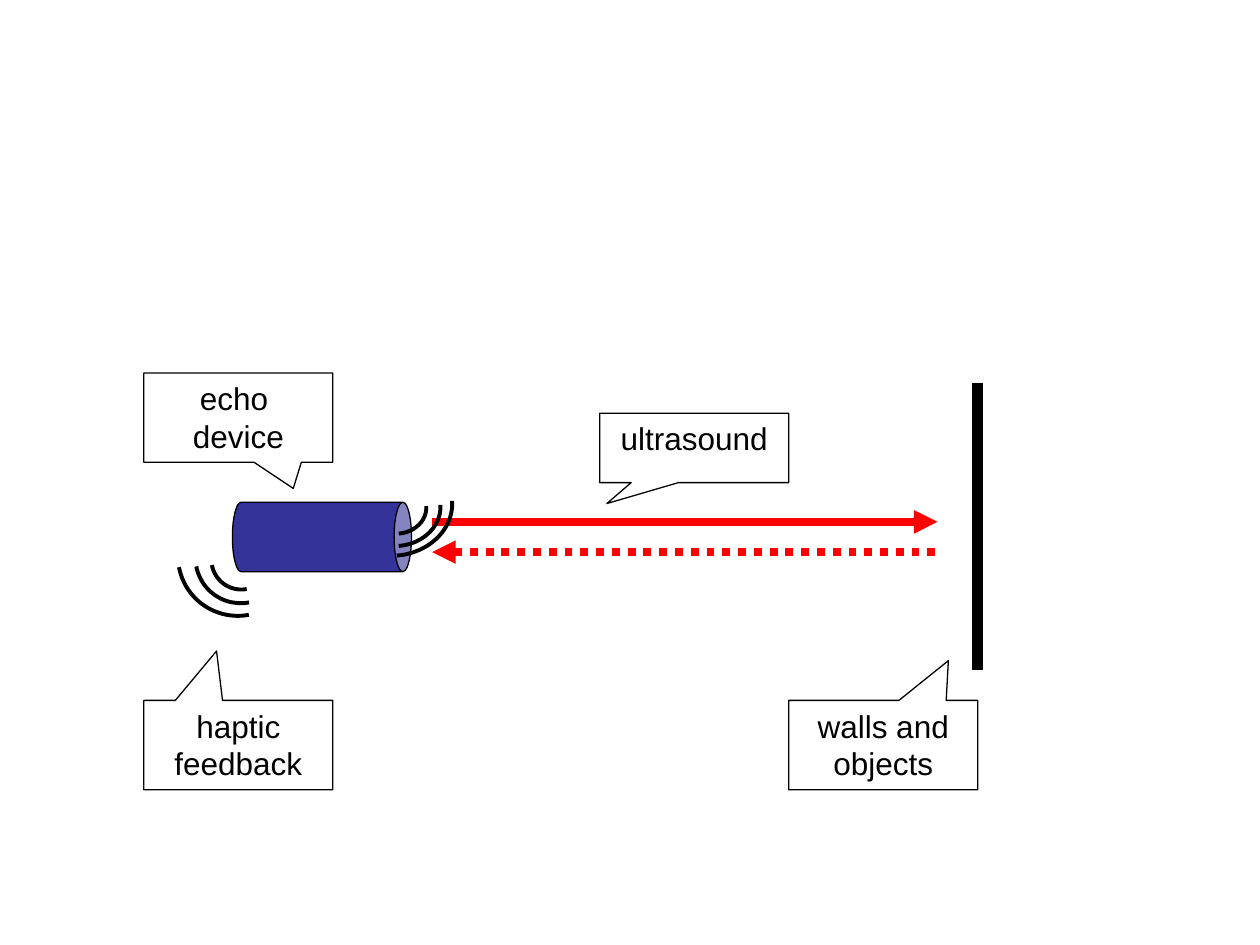
from lxml import etree
from pptx import Presentation
from pptx.dml.color import RGBColor
from pptx.enum import dml, shapes as kinds, text
from pptx.oxml.ns import qn
from pptx.util import Cm, Pt

BLACK = RGBColor(0x00, 0x00, 0x00)
WHITE = RGBColor(0xFF, 0xFF, 0xFF)
RED = RGBColor(0xFF, 0x00, 0x00)
NAVY = RGBColor(0x33, 0x33, 0x99)
SHAPE = kinds.MSO_SHAPE

# Left, top, height, pointer tip (share of size from the centre), lines
CALLS = [
    (2.9, 7.52, 1.8, (0.291, 0.793), ["echo ", "device"]),
    (12.09, 8.33, 1.4, (-0.462, 0.802), ["ultrasound"]),
    (15.9, 14.12, 1.8, (0.345, -0.945), ["walls and objects"]),
    (2.9, 14.12, 1.8, (-0.115, -1.053), ["haptic", "feedback"]),
]

# Centre x, centre y, width, height of each arc
HAPTIC = [(4.86, 11.28, 1.2, 1.21), (4.85, 11.25, 1.82, 1.82),
          (4.79, 11.21, 2.41, 2.41)]
SOUND = [(8, 10.25, 1.02, 1.19), (7.98, 10.25, 1.52, 1.8),
         (7.92, 10.19, 2.03, 2.39)]


def add_shape(shapes, kind, box, fill=None, width=0.75):
    shape = shapes.add_shape(kind, *map(Cm, box))
    shape.shadow.inherit = False
    if fill is None:
        shape.fill.background()
    else:
        shape.fill.solid()
        shape.fill.fore_color.rgb = fill
    shape.line.color.rgb = BLACK
    shape.line.width = Pt(width)
    return shape


def add_device(shapes):
    can = add_shape(shapes, SHAPE.CAN, (5.79, 9.02, 1.4, 3.61), NAVY)
    can.adjustments[0] = 0.25
    can.rotation = 90


def add_call(shapes, left, top, height, tip, lines):
    box = (left, top, 3.81, height)
    call = add_shape(shapes, SHAPE.RECTANGULAR_CALLOUT, box, WHITE)
    call.adjustments[0], call.adjustments[1] = tip
    frame = call.text_frame
    frame.word_wrap = True
    frame.vertical_anchor = text.MSO_ANCHOR.TOP
    frame.text = "\n".join(lines)
    for par in frame.paragraphs:
        par.alignment = text.PP_ALIGN.CENTER
        par.font.name = "Arial"
        par.font.size = Pt(18)
        par.font.color.rgb = BLACK


def add_line(shapes, start, end, color, width, dash=None, tip=None):
    """Draw a line; tip is headEnd (at start) or tailEnd (at end)."""
    line = shapes.add_connector(kinds.MSO_CONNECTOR.STRAIGHT,
                                *map(Cm, start + end))
    line.line.color.rgb = color
    line.line.width = Pt(width)
    if dash:
        line.line.dash_style = dash
    if tip:
        etree.SubElement(line.line._get_or_add_ln(), qn("a:" + tip),
                         type="triangle")
    etree.SubElement(line._element.spPr, qn("a:effectLst"))


def add_waves(shapes, rings, turn):
    """Group quarter arcs, all turned by the same angle."""
    group = shapes.add_group_shape()
    for x, y, width, height in rings:
        box = (x - width / 2, y - height / 2, width, height)
        arc = add_shape(group.shapes, SHAPE.ARC, box, width=2.25)
        arc.rotation = turn


def main():
    deck = Presentation()
    deck.slide_width, deck.slide_height = Cm(25.4), Cm(19.05)
    shapes = deck.slides.add_slide(deck.slide_layouts[6]).shapes

    add_device(shapes)
    add_line(shapes, (8.71, 10.52), (18.9, 10.52), RED, 4.5, tip="tailEnd")
    add_line(shapes, (8.71, 11.13), (18.9, 11.13), RED, 4.5,
             dml.MSO_LINE.ROUND_DOT, "headEnd")
    add_line(shapes, (19.71, 7.72), (19.71, 13.51), BLACK, 6)
    for call in CALLS:
        add_call(shapes, *call)
    add_waves(shapes, HAPTIC, 169.3)
    add_waves(shapes, SOUND, 85.6)
    deck.save("out.pptx")


if __name__ == "__main__":
    main()
